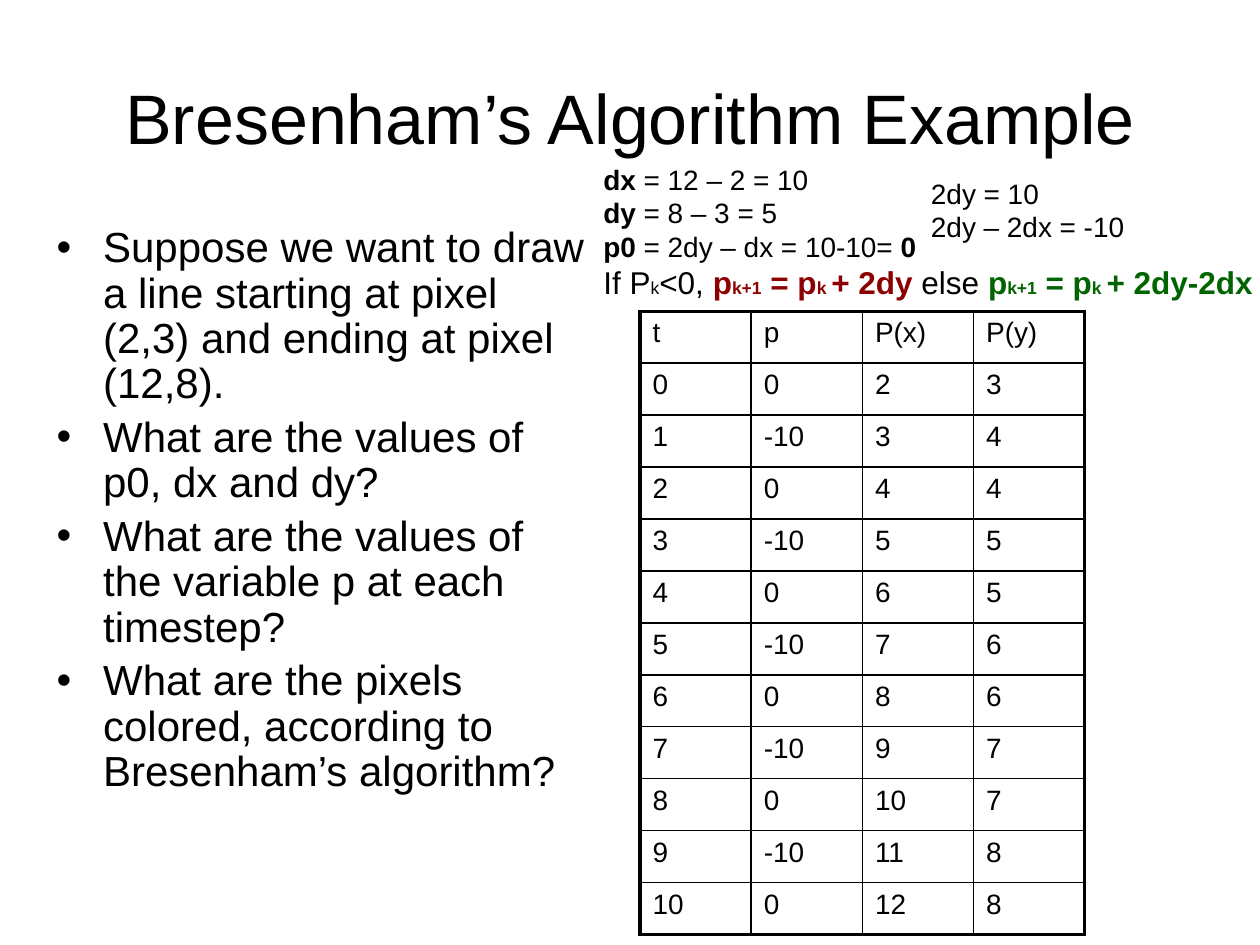
"""Build a slide that works through Bresenham's line algorithm."""
from pptx import Presentation, util as u
from pptx.dml.color import RGBColor
from pptx.enum import text as t
from pptx.oxml.ns import qn
from lxml import etree

WIDTH, HEIGHT = u.Inches(10), u.Inches(7.5)
COLORS = {"ink": "000000", "negative": "8B0000", "positive": "006400"}
FONT = "Arial"
THIN, THICK = 0.96, 2.21

QUESTIONS = [
    "Suppose we want to draw a line starting at pixel (2,3) and ending at pixel (12,8).",
    "What are the values of p0, dx and dy?",
    "What are the values of the variable p at each timestep?",
    "What are the pixels colored, according to Bresenham’s algorithm?",
]
HEADINGS = ["t", "p", "P(x)", "P(y)"]
DECISIONS = [0, -10, 0, -10, 0, -10, 0, -10, 0, -10, 0]
PIXELS = [(2, 3), (3, 4), (4, 4), (5, 5), (6, 5), (7, 6),
          (8, 6), (9, 7), (10, 7), (11, 8), (12, 8)]


def add_run(paragraph, content, size=16, bold=False, color="ink"):
    """Append formatted text to a paragraph."""
    run = paragraph.add_run()
    run.text = content
    run.font.name = FONT
    run.font.size = u.Pt(size)
    run.font.bold = bold
    run.font.color.rgb = RGBColor.from_string(COLORS[color])


def add_text_box(slide, left, top, width, height):
    """Add an empty wrapping text box placed by shares of the slide's size."""
    shape = slide.shapes.add_textbox(
        int(left * WIDTH), int(top * HEIGHT), int(width * WIDTH), int(height * HEIGHT))
    frame = shape.text_frame
    frame.word_wrap = True
    frame.auto_size = t.MSO_AUTO_SIZE.NONE
    return frame


def paragraphs_for(frame, items):
    """Yield one paragraph of the frame with each item."""
    for index, item in enumerate(items):
        yield (frame.add_paragraph() if index else frame.paragraphs[0]), item


def add_title(slide, content):
    """Place and fill the title placeholder."""
    title = slide.shapes.title
    title.left, title.top = int(0.05 * WIDTH), int(0.04 * HEIGHT)
    title.width, title.height = int(0.9 * WIDTH), u.Inches(1.25)
    title.text_frame.vertical_anchor = t.MSO_ANCHOR.MIDDLE
    paragraph = title.text_frame.paragraphs[0]
    paragraph.alignment = t.PP_ALIGN.CENTER
    add_run(paragraph, content, size=40)


def add_bullet(paragraph):
    """Give a paragraph a hanging round bullet."""
    properties = paragraph._p.get_or_add_pPr()
    properties.set("marL", str(u.Inches(0.38)))
    properties.set("indent", str(u.Inches(-0.37)))
    color = etree.SubElement(properties, qn("a:buClr"))
    etree.SubElement(color, qn("a:srgbClr"), val=COLORS["ink"])
    etree.SubElement(properties, qn("a:buFont"), typeface=FONT)
    etree.SubElement(properties, qn("a:buChar"), char="•")


def add_questions(slide):
    """Add the bulleted questions on the left."""
    frame = add_text_box(slide, 0.034, 0.233, 0.441, 0.66)
    for paragraph, question in paragraphs_for(frame, QUESTIONS):
        add_bullet(paragraph)
        paragraph.line_spacing = 0.9
        if question != QUESTIONS[0]:
            paragraph.space_before = u.Pt(4.8)
        add_run(paragraph, question, size=24)


def add_recurrence(paragraph, increment, color):
    """Append the update rule for the decision variable."""
    pieces = [("p", 18), ("k+1", 10), (" = p", 18), ("k ", 10), (increment, 18)]
    for content, size in pieces:
        add_run(paragraph, content, size=size, bold=True, color=color)


def add_setup(slide):
    """Add the starting values and the update rules."""
    frame = add_text_box(slide, 0.469, 0.165, 0.531, 0.155)
    frame.margin_right = 0
    values = [("dx", " = 12 – 2 = 10", ""), ("dy", " = 8 – 3 = 5", ""),
              ("p0", " = 2dy – dx = 10-10= ", "0")]
    for paragraph, (name, working, result) in paragraphs_for(frame, values):
        add_run(paragraph, name, bold=True)
        add_run(paragraph, working)
        if result:
            add_run(paragraph, result, bold=True)
    rule = frame.add_paragraph()
    for content, size in [("If P", 18), ("k", 10), ("<0, ", 18)]:
        add_run(rule, content, size=size)
    add_recurrence(rule, "+ 2dy", "negative")
    add_run(rule, " else ", size=18)
    add_recurrence(rule, "+ 2dy-2dx", "positive")


def add_increments(slide):
    """Add the two constant increments."""
    frame = add_text_box(slide, 0.729, 0.18, 0.185, 0.084)
    for paragraph, line in paragraphs_for(frame, ["2dy = 10", "2dy – 2dx = -10"]):
        add_run(paragraph, line)


def set_borders(cell, outer):
    """Draw the four borders of a cell, thick where a side is outer."""
    properties = cell._tc.get_or_add_tcPr()
    for index, (side, is_outer) in enumerate(outer.items()):
        width = u.Pt(THICK if is_outer else THIN)
        line = etree.Element(qn("a:ln" + side), w=str(width))
        fill = etree.SubElement(line, qn("a:solidFill"))
        etree.SubElement(fill, qn("a:srgbClr"), val=COLORS["ink"])
        properties.insert(index, line)


def add_steps_table(slide):
    """Add the table of timesteps, decisions and pixels."""
    rows = [HEADINGS] + [(step, decision, *pixel) for step, (decision, pixel)
                         in enumerate(zip(DECISIONS, PIXELS))]
    last_row, last_column = len(rows) - 1, len(HEADINGS) - 1
    table = slide.shapes.add_table(
        len(rows), len(HEADINGS), u.Inches(5.08), u.Inches(2.47),
        u.Inches(3.53), u.Inches(4.95)).table
    table.first_row = table.horz_banding = False
    for row, values in enumerate(rows):
        for column, value in enumerate(values):
            cell = table.cell(row, column)
            cell.fill.background()
            set_borders(cell, {"L": column == 0, "R": column == last_column,
                               "T": row == 0, "B": row == last_row})
            add_run(cell.text_frame.paragraphs[0], str(value))


def main():
    """Build and save the slide."""
    presentation = Presentation()
    presentation.slide_width, presentation.slide_height = WIDTH, HEIGHT
    slide = presentation.slides.add_slide(presentation.slide_layouts[5])
    add_title(slide, "Bresenham’s Algorithm Example")
    add_questions(slide)
    add_setup(slide)
    add_steps_table(slide)
    add_increments(slide)
    presentation.save("out.pptx")


if __name__ == "__main__":
    main()
